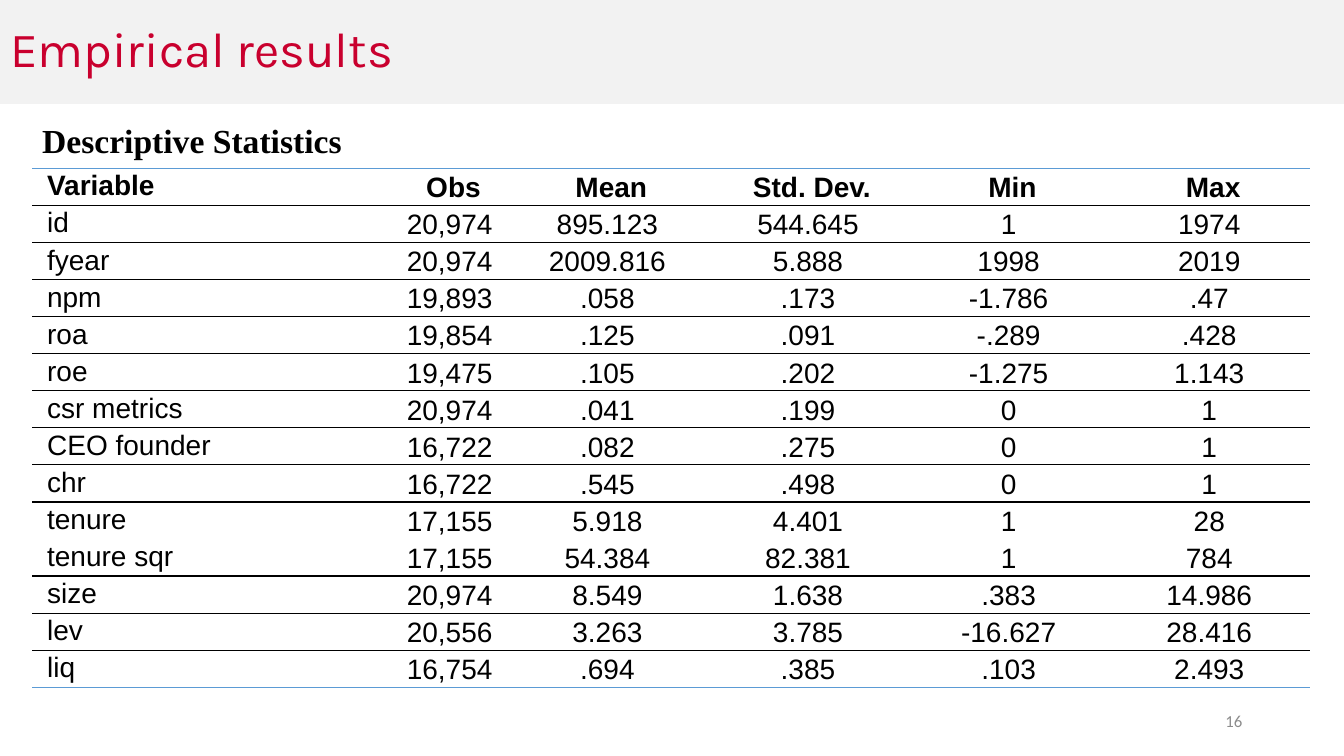
from lxml import etree
from pptx import Presentation
from pptx.dml.color import RGBColor
from pptx.enum.text import MSO_ANCHOR as ANCHOR, MSO_AUTO_SIZE as AUTO, PP_ALIGN as ALIGN
from pptx.oxml import parse_xml
from pptx.oxml.ns import nsdecls, qn
from pptx.util import Inches, Pt

TITLE = "Empirical results"
SUBTITLE = "Descriptive Statistics"
PAGE = "16"
HEADER = ("Variable", "Obs", "Mean", "Std. Dev.", "Min", "Max")
STATS = [
    ("id", "20,974", "895.123", "544.645", "1", "1974"),
    ("fyear", "20,974", "2009.816", "5.888", "1998", "2019"),
    ("npm", "19,893", ".058", ".173", "-1.786", ".47"),
    ("roa", "19,854", ".125", ".091", "-.289", ".428"),
    ("roe", "19,475", ".105", ".202", "-1.275", "1.143"),
    ("csr metrics", "20,974", ".041", ".199", "0", "1"),
    ("CEO founder", "16,722", ".082", ".275", "0", "1"),
    ("chr", "16,722", ".545", ".498", "0", "1"),
    ("tenure", "17,155", "5.918", "4.401", "1", "28"),
    ("tenure sqr", "17,155", "54.384", "82.381", "1", "784"),
    ("size", "20,974", "8.549", "1.638", ".383", "14.986"),
    ("lev", "20,556", "3.263", "3.785", "-16.627", "28.416"),
    ("liq", "16,754", ".694", ".385", ".103", "2.493"),
]
UNRULED = {"roa", "chr", "tenure", "lev"}
COL_WIDTHS = (3.57, 1.14, 1.99, 1.99, 1.99, 1.99)
ROW_HEIGHT = 0.368
NO_GRID_STYLE = "{2D5ABB26-0587-4C30-8999-92F81FD0307C}"

BAND = RGBColor(0xF2, 0xF2, 0xF2)
RED = RGBColor(0xC9, 0x00, 0x2E)
GREY = RGBColor(0x8C, 0x8C, 0x8C)
BLACK = RGBColor(0, 0, 0)
BLUE = RGBColor(0x5B, 0x9B, 0xD5)


def write(tf, text, font, size, color, bold=False, align=ALIGN.LEFT):
    tf.text = text
    p = tf.paragraphs[0]
    p.alignment = align
    f = p.runs[0].font
    f.name, f.size, f.bold = font, Pt(size), bold
    f.color.rgb = color
    return p


def add_border(cell, tag, color):
    tcPr = cell._tc.get_or_add_tcPr()
    tcPr.insert(0, parse_xml(
        f'<a:{tag} {nsdecls("a")} w="12700"><a:solidFill>'
        f'<a:srgbClr val="{color}"/></a:solidFill></a:{tag}>'))


def add_text(s, box, wrap, anchor, *style, **options):
    tf = s.shapes.add_textbox(*map(Inches, box)).text_frame
    tf.word_wrap = wrap
    tf.vertical_anchor = anchor
    write(tf, *style, **options)


def add_title(s):
    title = s.shapes.title
    title.left, title.top, title.width, title.height = map(Inches, (0, 0, 13.33, 1.03))
    title.fill.solid()
    title.fill.fore_color.rgb = BAND
    tf = title.text_frame
    tf.auto_size = AUTO.NONE
    tf.vertical_anchor = ANCHOR.MIDDLE
    write(tf, TITLE, "Karla", 35, RED).line_spacing = 0.9


def add_stats(s):
    rows = [HEADER] + STATS
    frame = s.shapes.add_table(
        len(rows), len(HEADER), Inches(0.32), Inches(1.67),
        Inches(sum(COL_WIDTHS)), Inches(ROW_HEIGHT * len(rows)))
    table = frame.table
    table.horz_banding = False
    table._tbl.tblPr.find(qn("a:tableStyleId")).text = NO_GRID_STYLE
    for column, width in zip(table.columns, COL_WIDTHS):
        column.width = Inches(width)

    last = len(rows) - 1
    rules = [BLUE] + [None if row[0] in UNRULED else BLACK for row in rows[:-1]] + [BLUE]
    for i, row in enumerate(rows):
        table.rows[i].height = Inches(ROW_HEIGHT)
        for j, value in enumerate(row):
            cell = table.cell(i, j)
            cell.margin_left = cell.margin_right = Inches(0.07)
            cell.margin_top = cell.margin_bottom = 0
            cell.vertical_anchor = ANCHOR.MIDDLE if j else ANCHOR.TOP
            cell.fill.background()
            text = value if i and j else " " + value
            p = write(cell.text_frame, text, "Arial", 20, BLACK, bold=i == 0,
                      align=ALIGN.CENTER if j else ALIGN.LEFT)
            p.line_spacing = 1.07
            for tag, color in (("lnB", rules[i + 1]), ("lnT", rules[i])):
                if color is not None:
                    add_border(cell, tag, color)


def main():
    prs = Presentation()
    prs.slide_width, prs.slide_height = Inches(13.33), Inches(7.5)
    s = prs.slides.add_slide(prs.slide_layouts[5])
    add_title(s)
    add_text(s, (9.42, 6.95, 3, 0.4), True, ANCHOR.MIDDLE,
             PAGE, "Calibri", 12, GREY, align=ALIGN.RIGHT)
    add_stats(s)
    add_text(s, (0.32, 1.14, 3.26, 0.5), False, ANCHOR.TOP,
             SUBTITLE, "Times New Roman", 24, BLACK, bold=True)
    prs.save("out.pptx")


if __name__ == "__main__":
    main()
